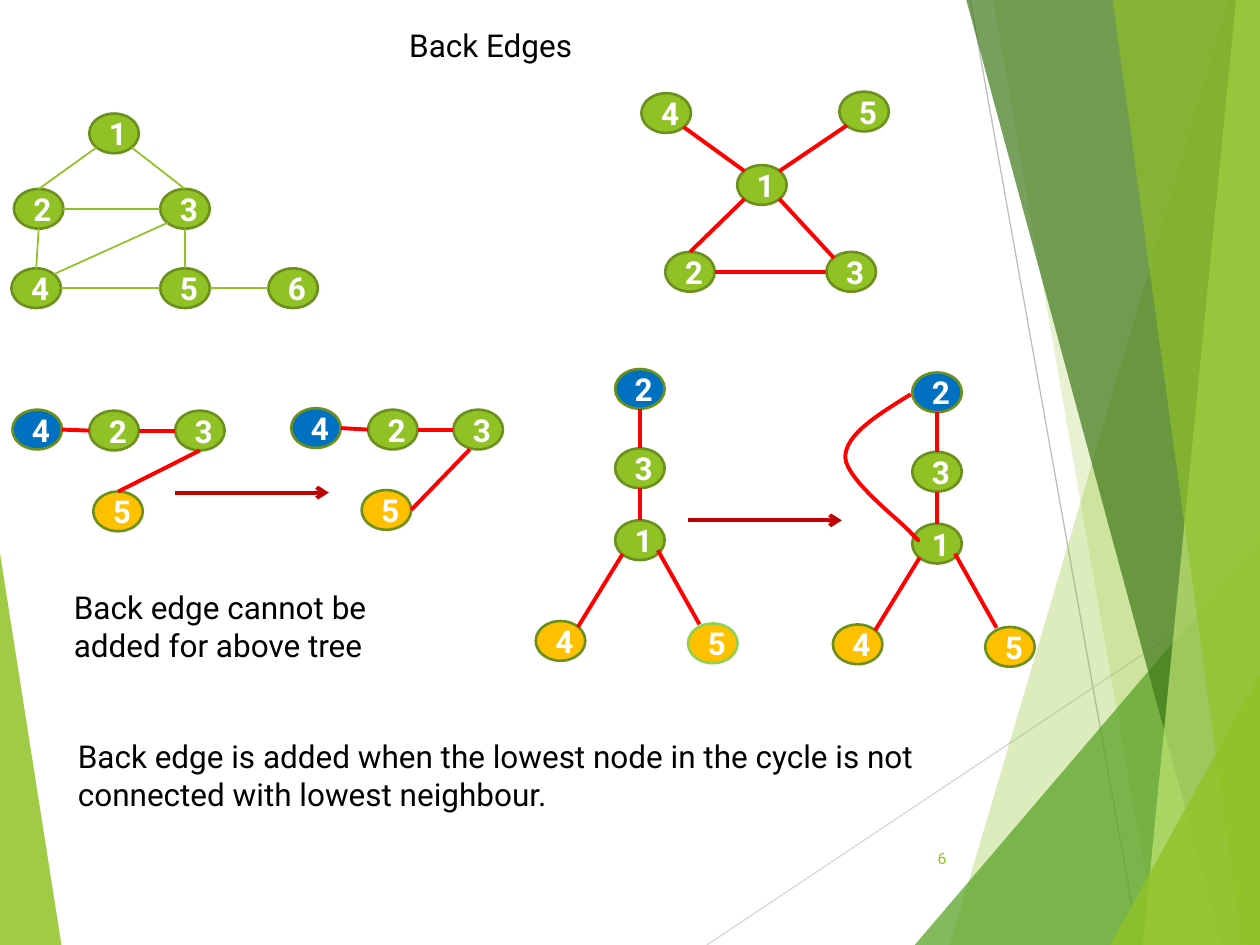
from lxml.etree import SubElement
from pptx import Presentation
from pptx.dml.color import RGBColor
from pptx.enum.shapes import MSO_CONNECTOR, MSO_SHAPE
from pptx.enum.text import MSO_ANCHOR, PP_ALIGN
from pptx.oxml.ns import qn
from pptx.util import Cm, Pt

GREEN = RGBColor(0x90, 0xC2, 0x26)
DARK_GREEN = RGBColor(0x6B, 0x90, 0x1C)
BRIGHT_GREEN = RGBColor(0x92, 0xD0, 0x50)
LEAF = RGBColor(0x54, 0xA0, 0x21)
FOREST = RGBColor(0x3F, 0x78, 0x19)
LIME = RGBColor(0xC0, 0xE4, 0x74)
BLUE = RGBColor(0x00, 0x70, 0xC0)
ORANGE = RGBColor(0xFF, 0xC0, 0x00)
RED = RGBColor(0xFF, 0x00, 0x00)
DARK_RED = RGBColor(0xC0, 0x00, 0x00)
LIGHT_GREY = RGBColor(0xD9, 0xD9, 0xD9)
GREY = RGBColor(0xBF, 0xBF, 0xBF)
BLACK = RGBColor(0x00, 0x00, 0x00)
WHITE = RGBColor(0xFF, 0xFF, 0xFF)

WIDTH, HEIGHT = 25.4, 19.05
NODE_WIDTH, NODE_HEIGHT = 1.0, 0.8

# Where an edge meets a node, as fractions of the node's width and height
NEAR, FAR = 0.15, 0.85
SITES = {
    "N": (0.5, 0), "S": (0.5, 1), "W": (0, 0.5), "E": (1, 0.5),
    "NW": (NEAR, NEAR), "NE": (FAR, NEAR), "SW": (NEAR, FAR), "SE": (FAR, FAR),
    "low east": (0.86, 0.75), "top left": (0.23, 0.02), "bottom left": (0.33, 1),
}

deck = Presentation()
deck.slide_width, deck.slide_height = Cm(WIDTH), Cm(HEIGHT)
page = deck.slides.add_slide(deck.slide_layouts[6])


def write(frame, text, size=18, color=BLACK, bold=False,
          align=PP_ALIGN.LEFT, anchor=MSO_ANCHOR.TOP):
    frame.word_wrap = True
    frame.vertical_anchor = anchor
    para = frame.paragraphs[0]
    para.alignment = align
    span = para.add_run()
    span.text = text
    span.font.name = "Roboto"
    span.font.size = Pt(size)
    span.font.bold = bold
    span.font.color.rgb = color


def draw_line(start, end, color, width):
    """Draw a straight line between two points given in centimetres."""
    line = page.shapes.add_connector(
        MSO_CONNECTOR.STRAIGHT, *[Cm(value) for value in (*start, *end)])
    line.line.color.rgb = color
    line.line.width = Pt(width)
    SubElement(line._element.spPr, qn("a:effectLst"))
    return line


# Background facets: corners, colour, opacity in percent
right_top, right_bottom = (WIDTH, 0), (WIDTH, HEIGHT)
facets = [
    ([(0, 11.15), (1.24, HEIGHT), (0, HEIGHT)], GREEN, 85),
    ([(24.77, 0), (19.15, HEIGHT), right_bottom, right_top], GREEN, 30),
    ([(20.02, 0), (23.34, HEIGHT), right_bottom, right_top], GREEN, 20),
    ([(18.44, HEIGHT), (WIDTH, 10.9), right_bottom], LEAF, 72),
    ([(19.48, 0), (24.64, HEIGHT), right_bottom, right_top], FOREST, 70),
    ([(24.92, 0), (23.04, HEIGHT), right_bottom, right_top], LIME, 70),
    ([(22.43, 0), (25.04, HEIGHT), right_bottom, right_top], GREEN, 65),
    ([(22.38, HEIGHT), (WIDTH, 13.59), right_bottom], GREEN, 80),
]
draw_line((14.25, HEIGHT), (WIDTH, 11.62), LIGHT_GREY, 0.75)
draw_line((19.56, 0), (22.96, HEIGHT), GREY, 0.75)
for corners, color, opacity in facets:
    points = [(Cm(x), Cm(y)) for x, y in corners]
    builder = page.shapes.build_freeform(*points[0])
    builder.add_line_segments(points[1:], close=True)
    facet = builder.convert_to_shape()
    facet.shadow.inherit = False
    facet.fill.solid()
    facet.fill.fore_color.rgb = color
    facet.line.fill.background()
    fill_color = facet._element.spPr.find(qn("a:solidFill"))[0]
    SubElement(fill_color, qn("a:alpha")).set("val", str(opacity * 1000))

# Each graph: node places, edges, fills that are not green, edge colour and width
path_edges = [("4", "E", "2", "W"), ("2", "E", "3", "W")]
tree_edges = [
    ("2", "S", "3", "N"), ("3", "S", "1", "N"),
    ("4", "NE", "1", "SW"), ("1", "low east", "5", "top left"),
]
path_fills = {"4": BLUE, "5": ORANGE}
tree_fills = {"2": BLUE, "4": ORANGE, "5": ORANGE}
tree = {"2": (12.4, 7.44), "3": (12.4, 9.04), "1": (12.4, 10.49),
        "4": (10.8, 12.52), "5": (13.87, 12.57)}
shifted_tree = {name: (x + 5.99, y + 0.07) for name, (x, y) in tree.items()}
graphs = [
    ({"1": (1.8, 2.29), "2": (0.28, 3.81), "3": (3.23, 3.81),
      "4": (0.23, 5.41), "5": (3.23, 5.41), "6": (5.41, 5.41)},
     [("1", "SW", "2", "N"), ("1", "SE", "3", "N"), ("2", "S", "4", "N"),
      ("2", "E", "3", "W"), ("4", "E", "5", "W"), ("3", "S", "5", "N"),
      ("4", "NE", "3", "SW"), ("5", "E", "6", "W")],
     {}, GREEN, 1),
    ({"4": (12.93, 1.88), "5": (16.92, 1.85), "1": (14.86, 3.33),
      "2": (13.41, 5.08), "3": (16.66, 5.08)},
     [("4", "SE", "1", "NW"), ("1", "NE", "5", "SW"), ("1", "SW", "2", "N"),
      ("1", "SE", "3", "NW"), ("2", "E", "3", "W")],
     {}, RED, 2.25),
    ({"4": (0.25, 8.26), "2": (1.8, 8.28), "3": (3.53, 8.28), "5": (1.88, 9.91)},
     path_edges + [("3", "S", "5", "N")], path_fills, RED, 2.25),
    ({"4": (5.87, 8.23), "2": (7.42, 8.26), "3": (9.14, 8.26), "5": (7.29, 9.88)},
     path_edges + [("5", "E", "3", "bottom left")], path_fills, RED, 2.25),
    (tree, tree_edges, tree_fills, RED, 2.25),
    (shifted_tree, tree_edges, tree_fills, RED, 2.25),
]
for places, edges, fills, edge_color, edge_width in graphs:
    for name, (left, top) in places.items():
        node = page.shapes.add_shape(
            MSO_SHAPE.OVAL, Cm(left), Cm(top), Cm(NODE_WIDTH), Cm(NODE_HEIGHT))
        node.shadow.inherit = False
        node.fill.solid()
        node.fill.fore_color.rgb = fills.get(name, GREEN)
        pale_outline = places is tree and name == "5"
        node.line.color.rgb = BRIGHT_GREEN if pale_outline else DARK_GREEN
        node.line.width = Pt(1.5)
        write(node.text_frame, name, color=WHITE, bold=True,
              align=PP_ALIGN.CENTER, anchor=MSO_ANCHOR.MIDDLE)
    for first, first_site, second, second_site in edges:
        ends = []
        for name, site in ((first, first_site), (second, second_site)):
            (left, top), (across, down) = places[name], SITES[site]
            ends.append((left + across * NODE_WIDTH, top + down * NODE_HEIGHT))
        draw_line(*ends, edge_color, edge_width)

# Arrows from each tree to its result
for left, y in ((3.53, 9.93), (13.87, 10.49)):
    arrow = draw_line((left, y), (left + 3.1, y), DARK_RED, 2.25)
    SubElement(arrow.line._get_or_add_ln(), qn("a:tailEnd")).set("type", "arrow")

# Curved back edge, stepped along its Bezier pieces
STEPS = 16
back_edge = [(18.36, 7.95), (17.7, 8.36), (17.04, 8.76), (17.04, 9.22),
             (17.07, 9.7), (18.19, 10.52), (18.39, 10.77),
             (18.62, 11), (18.49, 10.87), (18.36, 10.74)]
curve = []
for piece in range(0, len(back_edge) - 1, 3):
    controls = back_edge[piece:piece + 4]
    for step in range(1, STEPS + 1):
        t = step / STEPS
        weights = ((1 - t) ** 3, 3 * t * (1 - t) ** 2, 3 * t ** 2 * (1 - t), t ** 3)
        curve.append(tuple(
            Cm(sum(weight * point[axis] for weight, point in zip(weights, controls)))
            for axis in (0, 1)))
builder = page.shapes.build_freeform(*[Cm(value) for value in back_edge[0]])
builder.add_line_segments(curve, close=False)
back_edge_shape = builder.convert_to_shape()
back_edge_shape.shadow.inherit = False
back_edge_shape.fill.background()
back_edge_shape.line.color.rgb = RED
back_edge_shape.line.width = Pt(2.25)

# Title, remarks and page number
labels = [
    ((8, 0.41, 5.66, 1.02), "Back Edges", {}),
    ((1.24, 11.73, 6.73, 1.8), "Back edge cannot be added for above tree", {}),
    ((1.32, 14.73, 17.45, 1.8),
     "Back edge is added when the lowest node in the cycle is not "
     "connected with lowest neighbour.", {}),
    ((17.91, 16.79, 1.42, 1.02), "6",
     {"size": 9, "color": GREEN, "align": PP_ALIGN.RIGHT, "anchor": MSO_ANCHOR.MIDDLE}),
]
for place, text, text_format in labels:
    box = page.shapes.add_textbox(*[Cm(value) for value in place])
    write(box.text_frame, text, **text_format)

deck.save("out.pptx")
